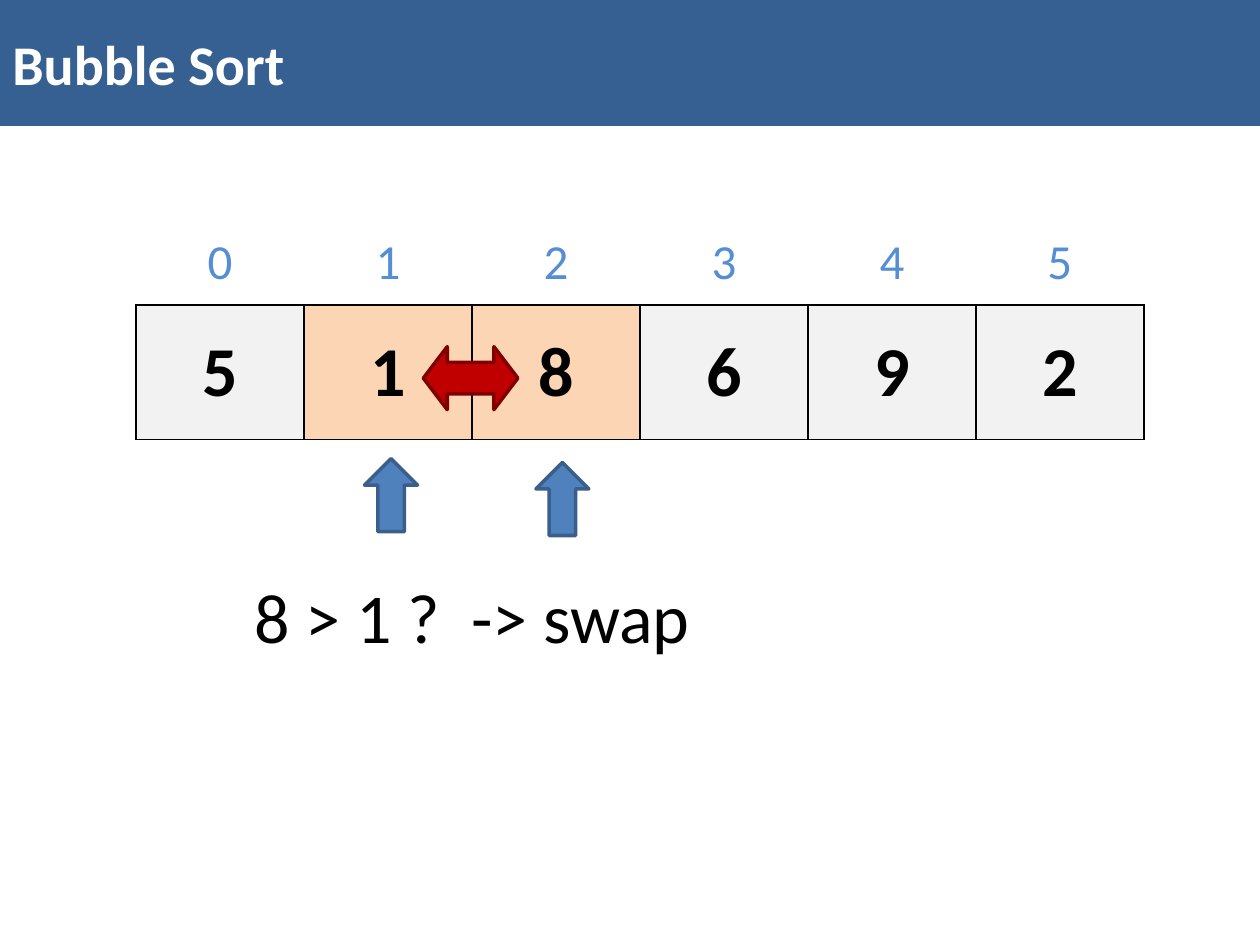
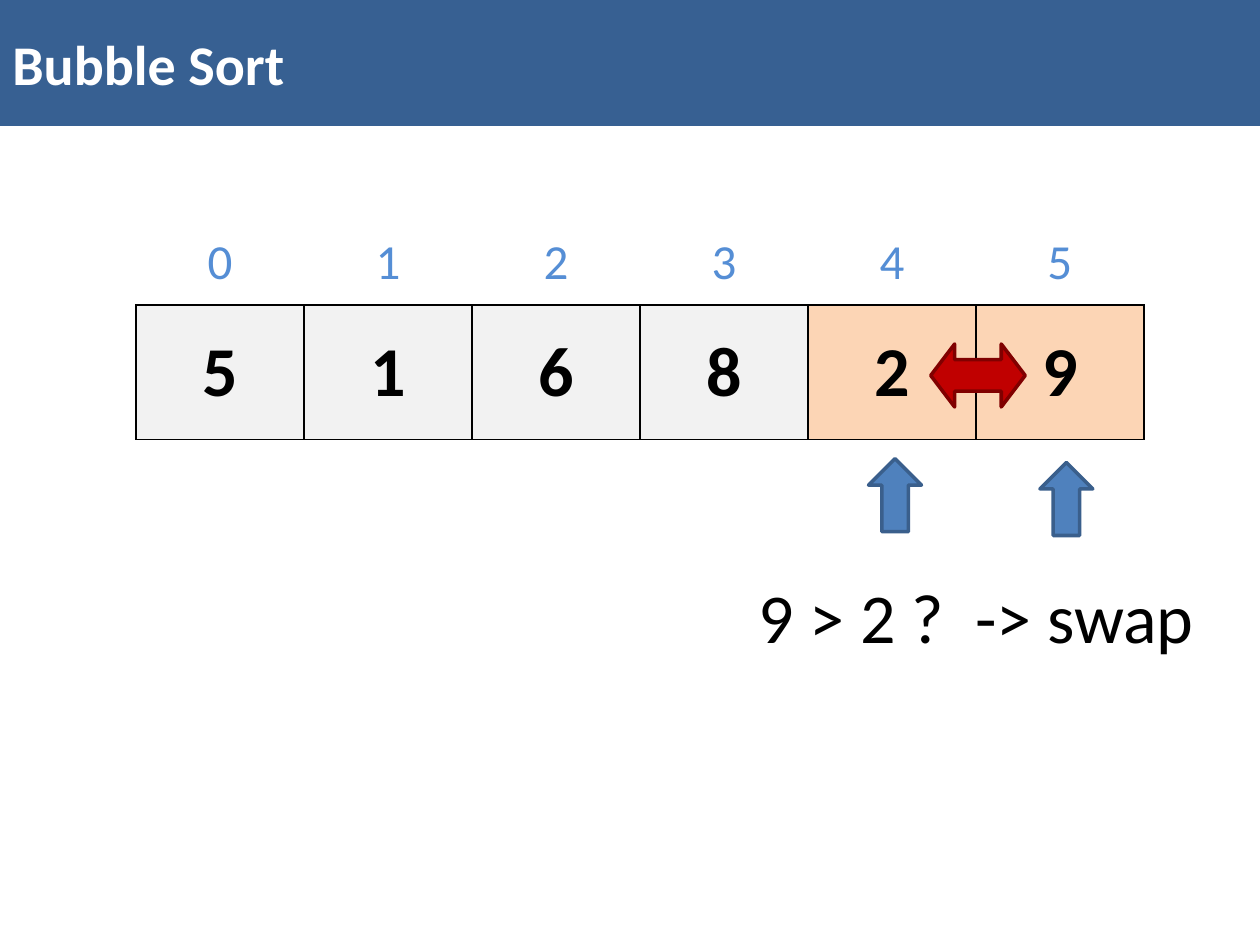
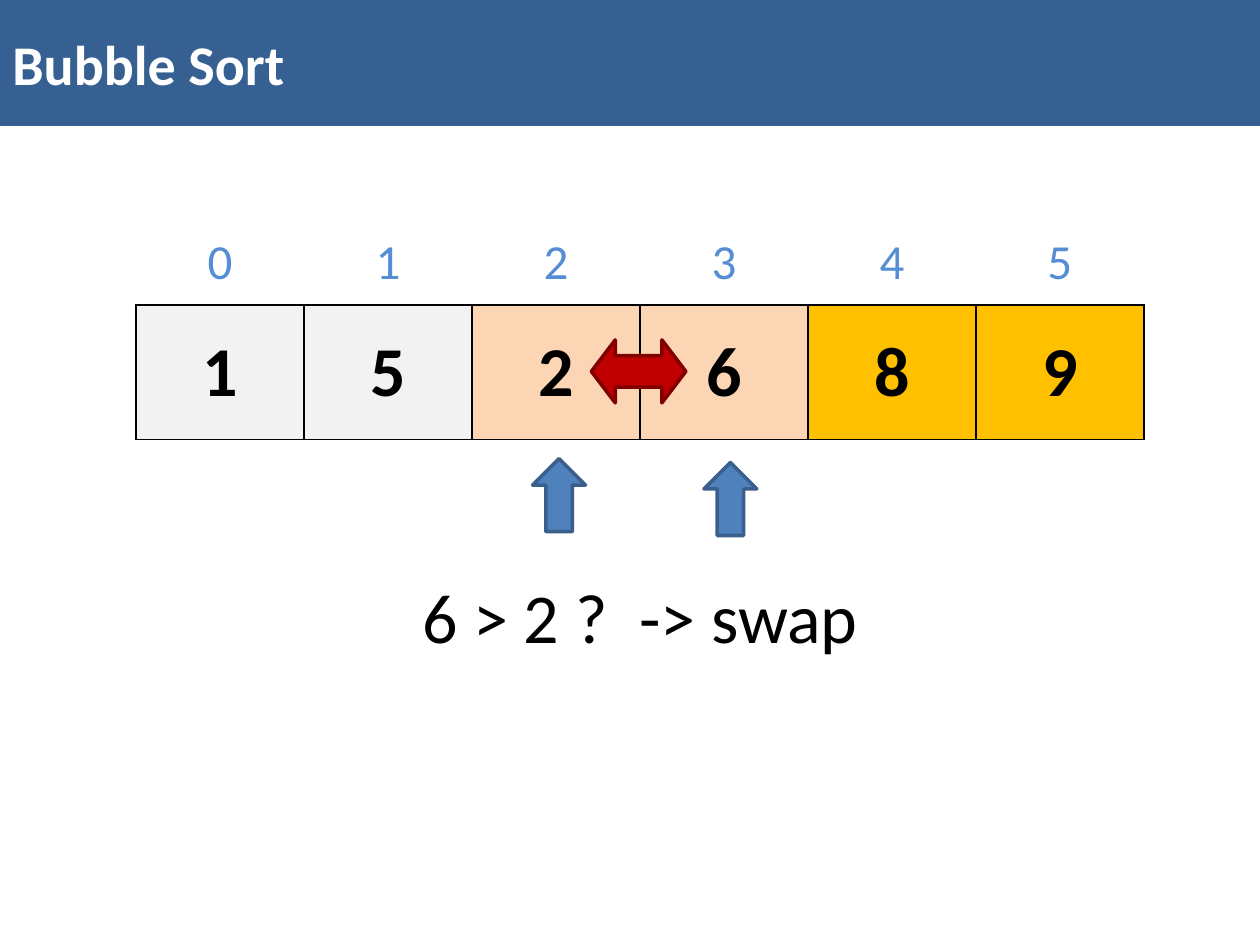
from dataclasses import dataclass

from lxml import etree
from pptx import Presentation
from pptx.dml.color import RGBColor
from pptx.enum.shapes import MSO_SHAPE
from pptx.enum.text import MSO_ANCHOR, PP_ALIGN
from pptx.oxml.ns import qn
from pptx.util import Inches, Pt

RECTANGLE = MSO_SHAPE.RECTANGLE
DOWN_ARROW = MSO_SHAPE.DOWN_ARROW
SWAP_ARROW = MSO_SHAPE.LEFT_RIGHT_ARROW
MIDDLE = MSO_ANCHOR.MIDDLE
LEFT, CENTER = PP_ALIGN.LEFT, PP_ALIGN.CENTER

FONT = "Calibri"
WHITE, BLACK = "FFFFFF", "000000"
BAND = "376092"
INDEX = "558ED5"
UNSORTED, COMPARED, SORTED = "F2F2F2", "FCD5B5", "FFC000"
POINTER, POINTER_EDGE = "4F81BD", "3A5F8C"
SWAP, SWAP_EDGE = "C00000", "800000"
PLAIN_TABLE = "{2D5ABB26-0587-4C30-8999-92F81FD0307C}"

SLIDE_WIDTH, SLIDE_HEIGHT = 10, 7.5
ARRAY_LEFT, ARRAY_TOP = 1.08, 2.42
ARRAY_WIDTH, ARRAY_ROW, INDEX_ROW = 8, 1.07, 0.67
LENGTH = 6
COLUMN = ARRAY_WIDTH / LENGTH


@dataclass(frozen=True)
class Box:
    left: float
    top: float
    width: float
    height: float

    def lengths(self) -> list:
        return [Inches(v) for v in (self.left, self.top, self.width, self.height)]


@dataclass(frozen=True)
class TextStyle:
    size: int
    color: str
    bold: bool = False
    align: PP_ALIGN = CENTER


@dataclass(frozen=True)
class Step:
    values: str
    first: int
    swap_column: float
    swap_row: float
    sorted_count: int = 0

    def color(self, position: int) -> str:
        if position in (self.first, self.first + 1):
            return COMPARED
        return SORTED if position >= LENGTH - self.sorted_count else UNSORTED

    def question(self) -> str:
        low, high = self.values[self.first:self.first + 2]
        return f"{high} > {low} ?  -> swap"


TITLE = TextStyle(32, WHITE, True, LEFT)
VALUE = TextStyle(40, BLACK, True)
INDEX_TEXT = TextStyle(28, INDEX)
QUESTION = TextStyle(40, BLACK)

STEPS = [
    Step("518692", 1, 0.71, 0.31),
    Step("516829", 4, 0.73, 0.29),
    Step("152689", 2, 0.71, 0.26, 2),
]


def rgb(color: str) -> RGBColor:
    return RGBColor.from_string(color)


def array_box(column: float, row: float, width: float, height: float) -> Box:
    return Box(ARRAY_LEFT + column * COLUMN, ARRAY_TOP + row * ARRAY_ROW, width, height)


def write(frame, text: str, style: TextStyle) -> None:
    paragraph = frame.paragraphs[0]
    paragraph.alignment = style.align
    run = paragraph.add_run()
    run.text = text
    run.font.name = FONT
    run.font.size = Pt(style.size)
    run.font.bold = style.bold
    run.font.color.rgb = rgb(style.color)


def draw_shape(slide, kind, box: Box, fill: str, edge: str | None = None):
    shape = slide.shapes.add_shape(kind, *box.lengths())
    shape.shadow.inherit = False
    shape.fill.solid()
    shape.fill.fore_color.rgb = rgb(fill)
    if edge:
        shape.line.color.rgb = rgb(edge)
        shape.line.width = Pt(2)
    else:
        shape.line.fill.background()
    return shape


def draw_title(slide) -> None:
    band = draw_shape(slide, RECTANGLE, Box(0, 0, SLIDE_WIDTH, 1), BAND)
    band.text_frame.vertical_anchor = MIDDLE
    write(band.text_frame, "Bubble Sort", TITLE)


def outline_cell(cell) -> None:
    properties = cell._tc.get_or_add_tcPr()
    for side in ("lnL", "lnR", "lnT", "lnB"):
        line = etree.SubElement(properties, qn(f"a:{side}"), w=str(Pt(1)))
        fill = etree.SubElement(line, qn("a:solidFill"))
        etree.SubElement(fill, qn("a:srgbClr"), val=BLACK)


def draw_row(slide, box: Box, texts: str, style: TextStyle,
             fills: list[str] | None = None) -> None:
    table = slide.shapes.add_table(1, LENGTH, *box.lengths()).table
    table.first_row = table.horz_banding = False
    table._tbl.tblPr.find(qn("a:tableStyleId")).text = PLAIN_TABLE
    for position, text in enumerate(texts):
        table.columns[position].width = Inches(COLUMN)
        cell = table.cell(0, position)
        cell.vertical_anchor = MIDDLE
        write(cell.text_frame, text, style)
        if fills:
            outline_cell(cell)
            cell.fill.solid()
            cell.fill.fore_color.rgb = rgb(fills[position])
        else:
            cell.fill.background()


def draw_pointer(slide, column: float, top: float) -> None:
    left = array_box(column, 0, 0, 0).left
    pointer = draw_shape(slide, DOWN_ARROW, Box(left, top, 0.42, 0.58),
                         POINTER, POINTER_EDGE)
    pointer.rotation = 180


def draw_question(slide, step: Step) -> None:
    left = array_box(step.first - 0.5, 0, 0, 0).left
    box = Box(left, SLIDE_HEIGHT * 0.6, 3 * COLUMN, 0.77)
    frame = slide.shapes.add_textbox(*box.lengths()).text_frame
    frame.word_wrap = True
    write(frame, step.question(), QUESTION)


def draw_swap(slide, step: Step) -> None:
    box = array_box(step.first + step.swap_column, step.swap_row, 0.75, 0.5)
    arrow = draw_shape(slide, SWAP_ARROW, box, SWAP, SWAP_EDGE)
    arrow.adjustments[1] = 0.38


def draw_step(slide, step: Step) -> None:
    draw_title(slide)
    draw_row(slide, array_box(0, 0, ARRAY_WIDTH, ARRAY_ROW), step.values, VALUE,
             [step.color(position) for position in range(LENGTH)])
    index_box = Box(ARRAY_LEFT, ARRAY_TOP - INDEX_ROW, ARRAY_WIDTH, INDEX_ROW)
    draw_row(slide, index_box, "".join(map(str, range(LENGTH))), INDEX_TEXT)
    draw_pointer(slide, step.first + 0.36, 3.64)
    draw_question(slide, step)
    draw_pointer(slide, step.first + 1.38, 3.67)
    draw_swap(slide, step)


def main() -> None:
    deck = Presentation()
    deck.slide_width = Inches(SLIDE_WIDTH)
    deck.slide_height = Inches(SLIDE_HEIGHT)
    blank = deck.slide_layouts[6]
    for step in STEPS:
        draw_step(deck.slides.add_slide(blank), step)
    deck.save("out.pptx")


if __name__ == "__main__":
    main()
